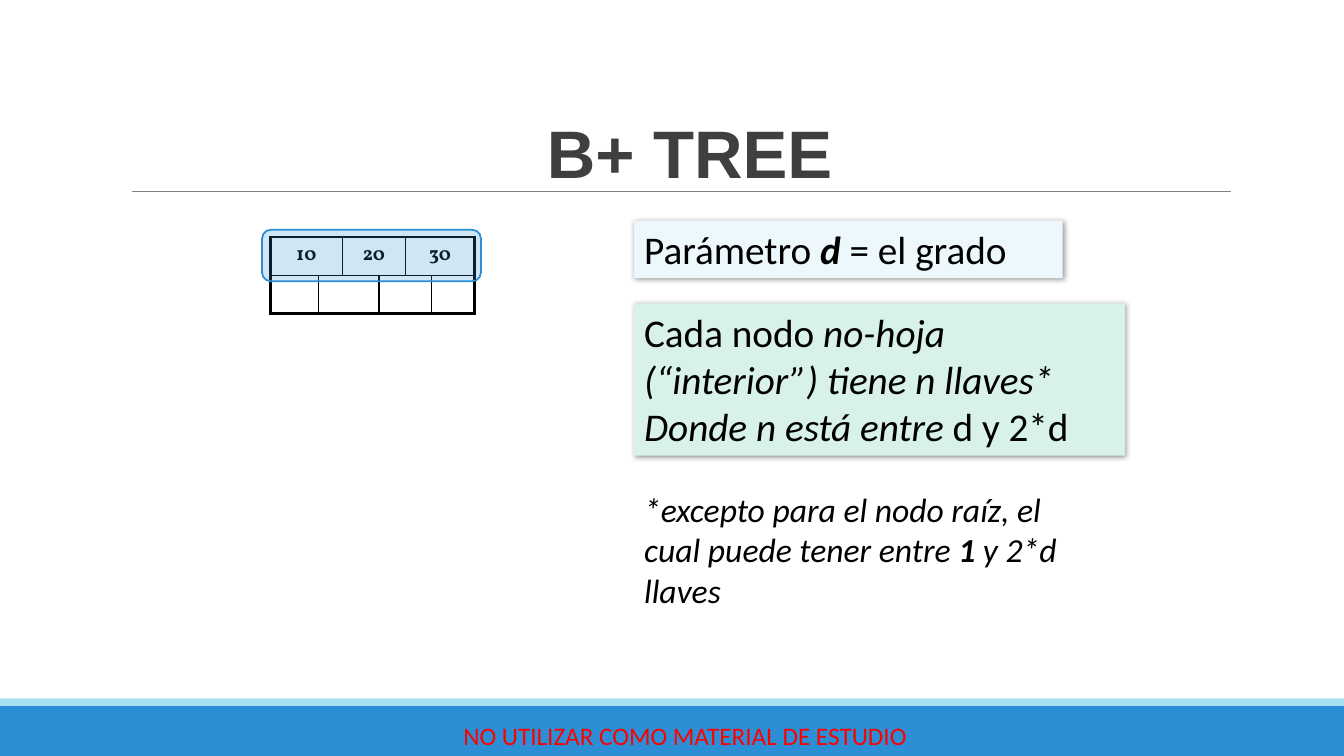
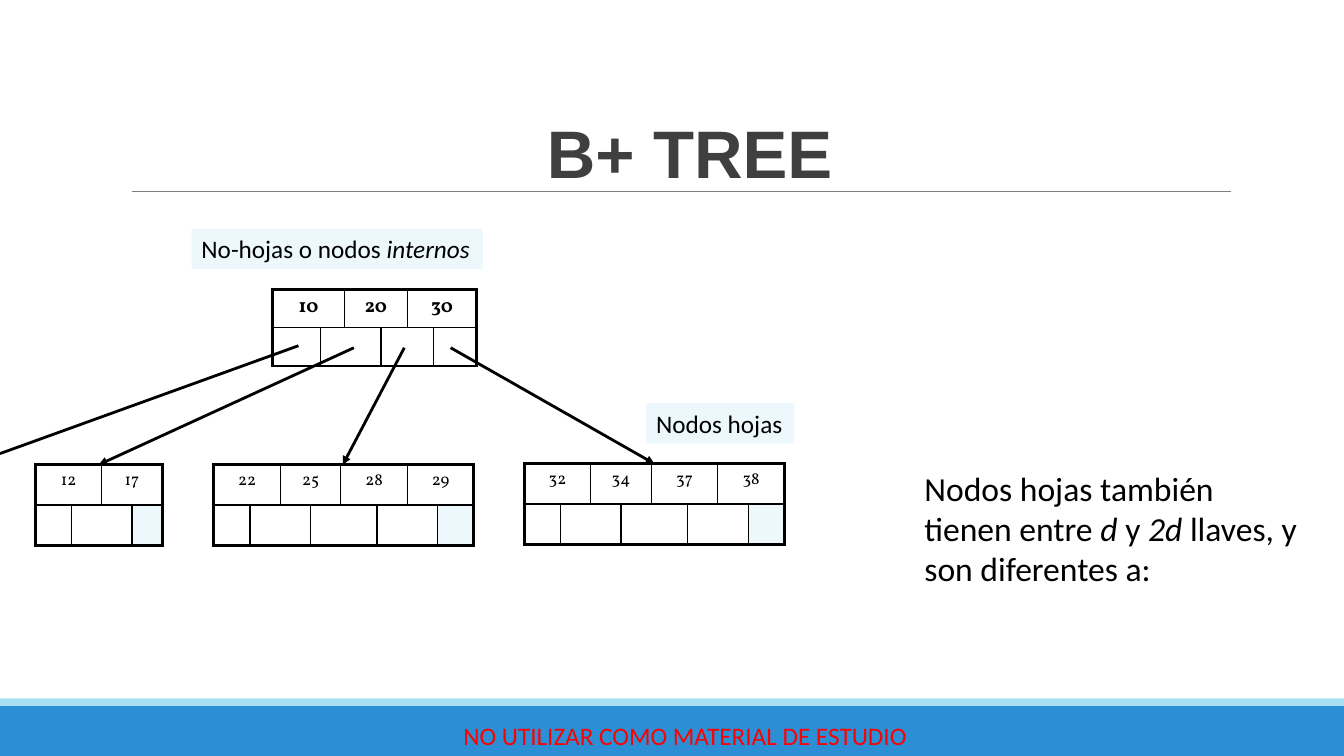
from pptx import Presentation
from pptx.dml.color import RGBColor
from pptx.enum.shapes import MSO_CONNECTOR, MSO_SHAPE
from pptx.enum.text import MSO_ANCHOR, MSO_AUTO_SIZE, PP_ALIGN
from pptx.oxml.ns import qn
from pptx.util import Inches, Pt
from lxml.etree import SubElement

HUES = {"blue": "2C8ED5", "aqua": "A8DFF3", "gray": "7F7F7F", "red": "FF0000",
        "dark": "3F3F3F", "black": "000000", "mint": "D8F1EA", "pale": "ECF8FC"}

TITLE = "B+ TREE"
WARNING = "NO UTILIZAR COMO MATERIAL DE ESTUDIO"
BANDS = [("blue", (0, 7, 13.33, 0.5)), ("aqua", (0, 6.93, 13.33, 0.07))]

# Node kinds: column widths, row height, font size, bold, fill of the last pointer
ROOT = ((0.48, 0.21, 0.36, 0.26, 0.26, 0.43), 0.38, 14, True, None)
LEAF = ((0.36, 0.3, 0.3, 0.3, 0.36, 0.3, 0.3, 0.36), 0.4, 12, False, "pale")
SHORT = ((0.36, 0.3, 0.3, 0.3), 0.4, 12, False, "pale")

# Nodes: kind, left, top, keys
# Texts: place, size, fill, shadow, paragraphs of (text, style) runs
# Arrows: start, end, head
SLIDES = [
    {"nodes": [(ROOT, 2.68, 2.35, (10, 20, 30))],
     "marks": [(2.6, 2.28, 2.17, 0.51)],
     "texts": [
         ((6.29, 2.19, 4.25, 0.57), 28, "pale", True,
          [[("Parámetro ", ""), ("d", "bi"), (" = el grado", "")]]),
         ((6.29, 3.01, 4.87, 1.51), 28, "mint", True,
          [[("Cada nodo ", ""), ("no-hoja (“interior”) tiene n llaves*", "i")],
           [("Donde n está entre ", "i"), ("d y 2*d", "")]]),
         ((6.29, 4.8, 4.63, 1.31), 24, None, False,
          [[("*excepto para el nodo raíz, el cual puede tener entre ", "i"),
            ("1 ", "bi"), ("y 2*d llaves", "i")]])],
     "arrows": []},
    {"nodes": [(ROOT, 2.7, 2.87, (10, 20, 30)),
               (SHORT, 0.35, 4.61, (12, 17)),
               (LEAF, 2.12, 4.61, (22, 25, 28, 29)),
               (LEAF, 5.2, 4.6, (32, 34, 37, 38))],
     "marks": [],
     "texts": [
         ((1.9, 2.27, 2.89, 0.4), 18, "pale", False,
          [[("No-hojas o nodos ", ""), ("internos", "i")]]),
         ((6.41, 4, 1.47, 0.4), 18, "pale", False, [[("Nodos hojas", "")]]),
         ((9.07, 4.59, 3.9, 1.31), 24, None, False,
          [[("Nodos hojas también tienen entre ", ""), ("d ", "i"), ("y ", ""),
            ("2d ", "i"), ("llaves, y son diferentes a:", "")]])],
     "arrows": [((2.96, 3.43), (0, 4.5), False),
                ((3.51, 3.45), (0.98, 4.61), True),
                ((4.01, 3.45), (3.4, 4.61), True),
                ((4.47, 3.45), (6.49, 4.6), True)]},
]


def hue(name):
    return RGBColor.from_string(HUES[name])


def units(place):
    return [Inches(v) for v in place]


def put(par, text, size, name="Calibri", color="black", bold=False, italic=False):
    run = par.add_run()
    run.text = text
    look = {"size": Pt(size), "name": name, "bold": bold, "italic": italic}
    for key, value in look.items():
        setattr(run.font, key, value)
    run.font.color.rgb = hue(color)


def block(slide, place, fill, kind=MSO_SHAPE.RECTANGLE):
    shape = slide.shapes.add_shape(kind, *units(place))
    shape.shadow.inherit = False
    shape.fill.solid()
    shape.fill.fore_color.rgb = hue(fill)
    shape.line.fill.background()
    return shape


def line(slide, start, end, color, width, head=False):
    link = slide.shapes.add_connector(MSO_CONNECTOR.STRAIGHT, *units(start + end))
    link.line.color.rgb = hue(color)
    link.line.width = Pt(width)
    if head:
        SubElement(link.line._get_or_add_ln(), qn("a:tailEnd"), type="triangle")
    SubElement(link.element.spPr, qn("a:effectLst"))
    return link


def shade(shape):
    """Give the shape a soft shadow to the lower right."""
    glow = SubElement(shape.element.spPr.find(qn("a:effectLst")), qn("a:outerShdw"),
                      blurRad=str(Pt(4)), dist=str(Pt(1)), dir="2700000",
                      algn="tl", rotWithShape="0")
    tint = SubElement(glow, qn("a:srgbClr"), val=HUES["black"])
    SubElement(tint, qn("a:alpha"), val="40000")


def label(slide, place, size, fill, shadow, pars):
    if fill:
        box = block(slide, place, fill)
    else:
        box = slide.shapes.add_textbox(*units(place))
    if shadow:
        shade(box)
    frame = box.text_frame
    frame.word_wrap = True
    frame.vertical_anchor = MSO_ANCHOR.TOP
    for i, runs in enumerate(pars):
        par = frame.add_paragraph() if i else frame.paragraphs[0]
        par.alignment = PP_ALIGN.LEFT
        for text, style in runs:
            put(par, text, size, bold="b" in style, italic="i" in style)


def mark(slide, place):
    """Lay a clear blue frame over the keys of a node."""
    shape = block(slide, place, "blue", MSO_SHAPE.ROUNDED_RECTANGLE)
    tint = shape.element.spPr.find(qn("a:solidFill"))[0]
    SubElement(tint, qn("a:alpha"), val="22000")
    shape.line.color.rgb = hue("blue")
    shape.line.width = Pt(1.25)


def edge(cell, sides):
    props = cell._tc.get_or_add_tcPr()
    for side, thick in zip("LRTB", sides):
        ln = SubElement(props, qn("a:ln" + side), w=str(Pt(2.25 if thick else 1)))
        fill = SubElement(ln, qn("a:solidFill"))
        SubElement(fill, qn("a:srgbClr"), val=HUES["black"])


def node(slide, kind, left, top, keys):
    """Draw keys over pointers; each key spans two columns, pointers sit between."""
    cols, high, size, bold, last = kind
    count = len(cols)
    table = slide.shapes.add_table(
        2, count, *units((left, top, sum(cols), 2 * high))).table
    table.first_row = table.horz_banding = False
    for col, wide in zip(table.columns, cols):
        col.width = Inches(wide)
    for row in table.rows:
        row.height = Inches(high)
    pairs = [(c, c + 1) for c in range(0, count, 2)]
    slots = [(0, 0)] + [(c, c + 1) for c in range(1, count - 1, 2)]
    slots.append((count - 1, count - 1))
    for r, spans in enumerate((pairs, slots)):
        for first, end in spans:
            for c in range(first, end + 1):
                cell = table.cell(r, c)
                edge(cell, (first == 0, end == count - 1, r == 0, r == 1))
                cell.fill.background()
                if r:
                    cell.margin_top = cell.margin_bottom = 0
            if end > first:
                table.cell(r, first).merge(table.cell(r, end))
    for (first, _), key in zip(pairs, keys):
        par = table.cell(0, first).text_frame.paragraphs[0]
        par.alignment = PP_ALIGN.CENTER
        put(par, str(key), size, "Vollkorn", bold=bold)
    if last:
        fill = table.cell(1, count - 1).fill
        fill.solid()
        fill.fore_color.rgb = hue(last)


def dress(slide, layout):
    """Build the shared bands, rule and warning, and move them to the layout."""
    parts = [block(slide, place, fill) for fill, place in BANDS]
    parts.append(line(slide, (1.31, 1.9), (12.21, 1.9), "gray", 0.75))
    foot = slide.shapes.add_textbox(*units((4.16, 7.1, 5.27, 0.4)))
    foot.text_frame.word_wrap = True
    foot.text_frame.vertical_anchor = MSO_ANCHOR.MIDDLE
    par = foot.text_frame.paragraphs[0]
    par.alignment = PP_ALIGN.CENTER
    put(par, WARNING, 18, color="red")
    for part in parts + [foot]:
        layout.shapes.element.append(part.element)


def head(slide):
    title = slide.shapes.title
    place = units((1.33, 0.2, 11.02, 1.76))
    for key, value in zip(("left", "top", "width", "height"), place):
        setattr(title, key, value)
    frame = title.text_frame
    frame.auto_size = MSO_AUTO_SIZE.NONE
    frame.vertical_anchor = MSO_ANCHOR.BOTTOM
    par = frame.paragraphs[0]
    par.alignment = PP_ALIGN.CENTER
    par.line_spacing = 0.85
    put(par, TITLE, 48, "Arial", "dark", bold=True)


def main():
    deck = Presentation()
    deck.slide_width, deck.slide_height = units((13.33, 7.5))
    layout = deck.slide_layouts[5]
    for i, data in enumerate(SLIDES):
        slide = deck.slides.add_slide(layout)
        if i == 0:
            dress(slide, layout)
        head(slide)
        for item in data["nodes"]:
            node(slide, *item)
        for place in data["marks"]:
            mark(slide, place)
        for item in data["texts"]:
            label(slide, *item)
        for start, end, tip in data["arrows"]:
            line(slide, start, end, "black", 2, tip)
    deck.save("out.pptx")


if __name__ == "__main__":
    main()
